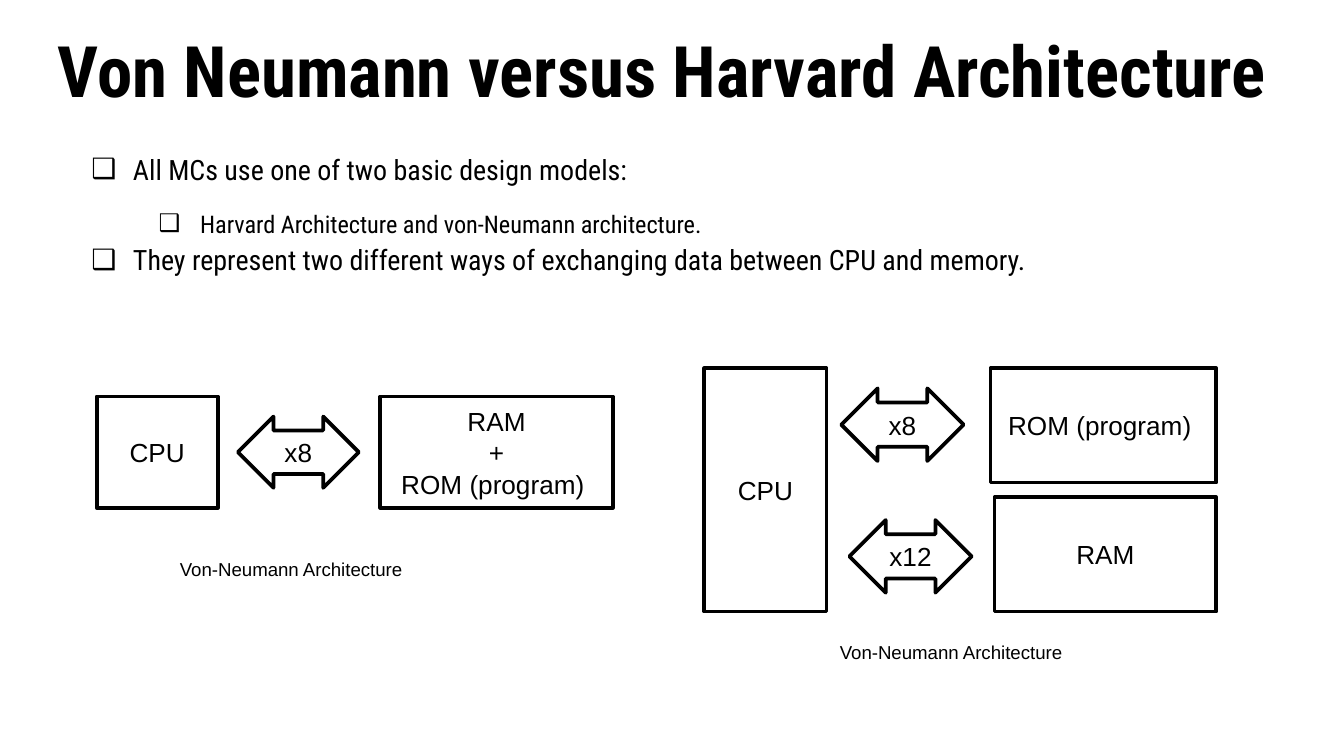
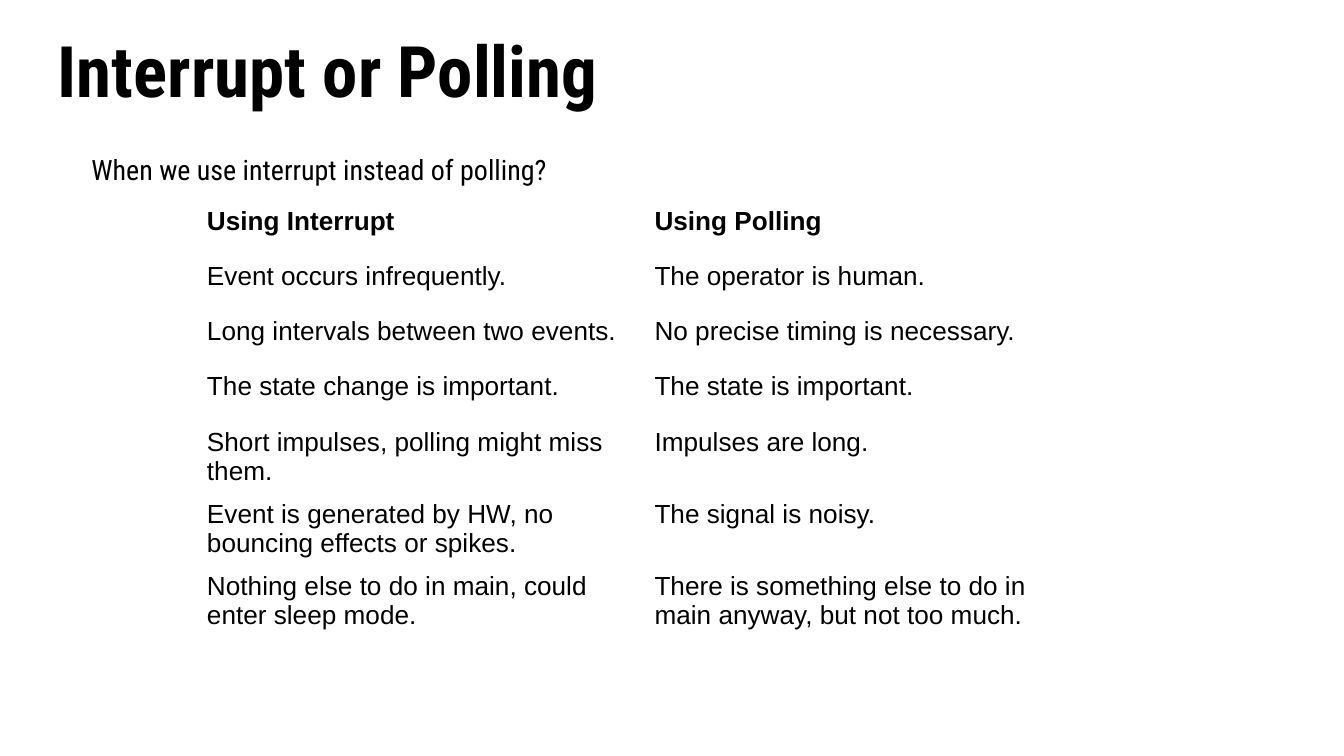
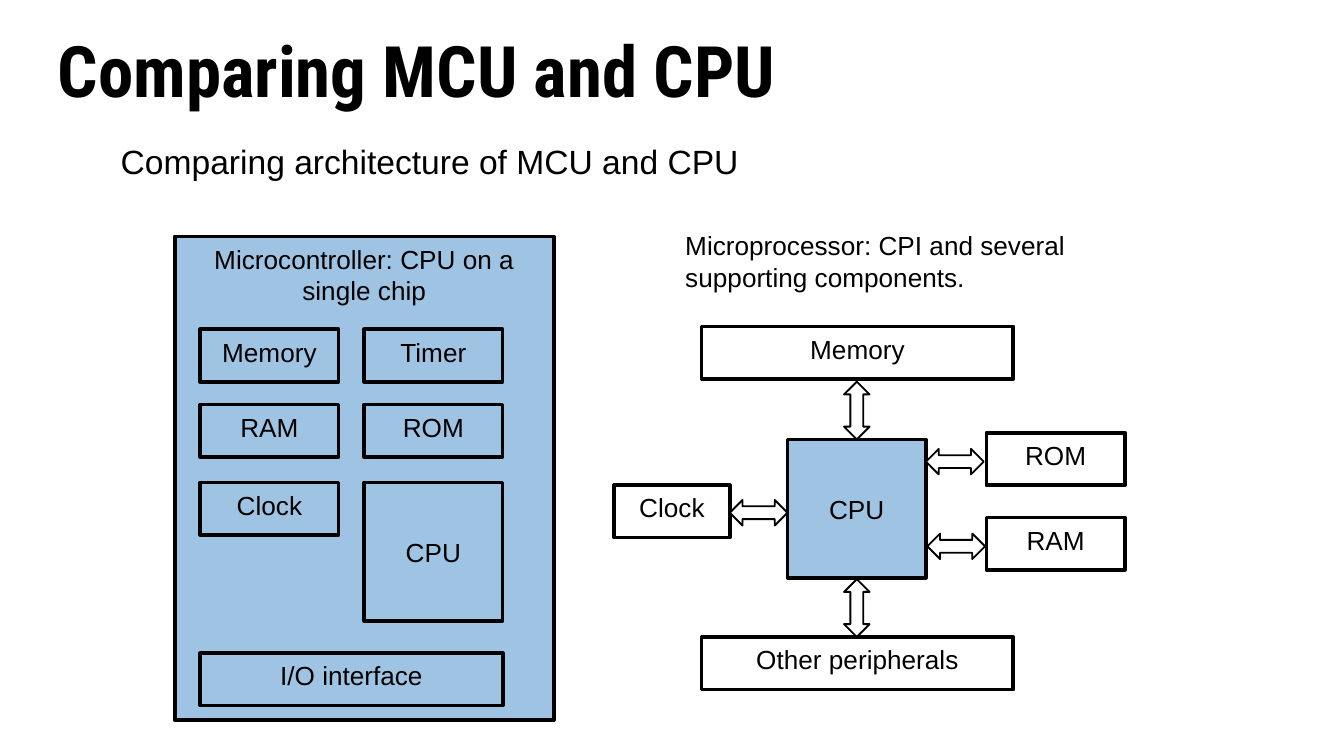
import pptx
import pptx.dml.color
import pptx.enum.shapes
import pptx.enum.text
import pptx.util
from lxml import etree
from pptx.oxml.ns import qn

PX = 9144  # one px is a hundredth of an inch
SLIDE_WIDTH = 1000
COLORS = {"ink": "000000", "paper": "FFFFFF", "chip": "9FC3E3"}
DISPLAY, PLAIN = "Roboto Condensed", "Arial"
RECTANGLE = pptx.enum.shapes.MSO_SHAPE.RECTANGLE
ARROW = pptx.enum.shapes.MSO_SHAPE.LEFT_RIGHT_ARROW
TOP, MIDDLE = pptx.enum.text.MSO_ANCHOR.TOP, pptx.enum.text.MSO_ANCHOR.MIDDLE
CENTER = pptx.enum.text.PP_ALIGN.CENTER

# Shared formats
TITLE_BOX = (36, 21, 928, 69)
TITLE_FONT = {"name": DISPLAY, "size": 38, "bold": True}
PLACEHOLDER_INSETS = {"margin_left": 7, "margin_right": 7, "margin_top": 4, "margin_bottom": 4}
LEVELS = [
    {"size": 15, "left": 56, "spacing": 1.14, "before": 0},
    {"size": 13, "left": 106, "spacing": 1.15, "before": 10},
]
BULLET, BULLET_HANG = "❑", 31

# Slide 1: text, then (label, box, fill) for each diagram
MODELS_TITLE = "Von Neumann versus Harvard Architecture"
MODELS_BODY = [
    (0, "All MCs use one of two basic design models:"),
    (1, "Harvard Architecture and von-Neumann architecture."),
    (0, "They represent two different ways of exchanging data between CPU and memory."),
]
MEMORY_BLOCKS = [
    ("CPU", (72, 295, 90, 83), "paper"),
    ("RAM\n+\nROM (program) ", (283, 295, 173, 83), "paper"),
    ("CPU", (524, 274, 91, 181), None),
    ("ROM (program) ", (737, 274, 168, 85), None),
    ("RAM", (740, 370, 165, 85), None),
]
BUSES = [
    ("x8", (177, 310, 90, 53), "paper"),
    ("x8", (626, 289, 91, 54), None),
    ("x12", (632, 387, 91, 54), None),
]
CAPTIONS = [
    ("Von-Neumann Architecture", (124, 410, 186, 26)),
    ("Von-Neumann Architecture", (615, 472, 188, 27)),
]

# Slide 2
POLLING_TITLE = "Interrupt or Polling"
POLLING_QUESTION = "When we use interrupt instead of polling?"
POLLING_ROWS = [
    ("Using Interrupt", "Using Polling"),
    ("Event occurs infrequently.", "The operator is human."),
    ("Long intervals between two events.", "No precise timing is necessary."),
    ("The state change is important.", "The state is important."),
    ("Short impulses, polling might miss them.", "Impulses are long."),
    ("Event is generated by HW, no bouncing effects or spikes.", "The signal is noisy."),
    ("Nothing else to do in main, could enter sleep mode.",
     "There is something else to do in main anyway, but not too much."),
]
TABLE_LEFT, TABLE_TOP, COLUMN_WIDTH, ROW_HEIGHT = 144, 149, 333, 41
CELL_BOTTOM = 2

# Slide 3
CHIP_TITLE = "Comparing MCU and CPU"
CHIP_SUBTITLE = ("Comparing architecture of MCU and CPU", (80, 100, 484, 40))
CHIP = ("Microcontroller: CPU on a single chip", (130, 176, 282, 360))
CHIP_COLUMNS, CHIP_ROWS = (149, 271), (245, 301, 359)
CHIP_PARTS = [("Memory", "Timer"), ("RAM", "ROM"), ("Clock", "CPU")]
PART_WIDTH, PART_HEIGHT, CPU_SIDE = 103, 39, 103
CHIP_INTERFACE = ("I/O interface", (149, 486, 225, PART_HEIGHT))
PROCESSOR_NOTE = ("Microprocessor: CPI and several supporting components.", (500, 166, 335, 57))
PROCESSOR_CPU = (586, 327)
PROCESSOR_PARTS = [  # label, left, top, width
    ("Memory", 522, 243, 232),
    ("RAM", 734, 385, PART_WIDTH),
    ("ROM", 734, 322, PART_WIDTH),
    ("Clock", 457, 361, 86),
    ("Other peripherals", 522, 474, 232),
]
LINK_WIDTH, LINK_HEIGHT = 43, 19
LINKS = [  # left, top, rotation
    (543, 372, 0), (689, 334, 0), (690, 397, 0), (616, 296, 90), (616, 443, 90),
]


def px(*lengths):
    return [length * PX for length in lengths]


def apply_format(target, values):
    for name, value in values.items():
        setattr(target, name, value)


def rgb(color):
    return pptx.dml.color.RGBColor.from_string(COLORS[color])


def style_font(font, name=PLAIN, size=14, bold=False):
    apply_format(font, {"name": name, "size": pptx.util.Pt(size), "bold": bold})
    font.color.rgb = rgb("ink")


def write(frame, text, font, paragraph_format=None):
    for index, line in enumerate(text.split("\n")):
        paragraph = frame.paragraphs[0] if index == 0 else frame.add_paragraph()
        apply_format(paragraph, paragraph_format or {})
        run = paragraph.add_run()
        run.text = line
        style_font(run.font, **font)


def add_text(slide, box, insets=None, anchor=TOP):
    frame = slide.shapes.add_textbox(*px(*box)).text_frame
    apply_format(frame, {"word_wrap": True, "vertical_anchor": anchor})
    apply_format(frame, {name: value * PX for name, value in (insets or {}).items()})
    return frame


def add_label(slide, text, box, size):
    frame = add_text(slide, box)
    frame.auto_size = pptx.enum.text.MSO_AUTO_SIZE.SHAPE_TO_FIT_TEXT
    write(frame, text, {"size": size})


def add_block(slide, text, box, fill=None, anchor=TOP, kind=RECTANGLE, line=2, adjust=(), turn=0):
    shape = slide.shapes.add_shape(kind, *px(*box))
    shape.shadow.inherit = False
    shape.rotation = turn
    for index, value in enumerate(adjust):
        shape.adjustments[index] = value
    if fill:
        shape.fill.solid()
        shape.fill.fore_color.rgb = rgb(fill)
    else:
        shape.fill.background()
    shape.line.color.rgb = rgb("ink")
    shape.line.width = pptx.util.Pt(line)
    if text:
        apply_format(shape.text_frame, {"word_wrap": True, "vertical_anchor": anchor})
        write(shape.text_frame, text, {}, {"alignment": CENTER})


def indent(paragraph, left, hang, bullet=None):
    properties = paragraph._p.get_or_add_pPr()
    properties.set("marL", str(left * PX))
    properties.set("indent", str(-hang * PX))
    if bullet:
        color = etree.SubElement(properties, qn("a:buClr"))
        etree.SubElement(color, qn("a:srgbClr"), val=COLORS["ink"])
        etree.SubElement(properties, qn("a:buFont"), typeface=DISPLAY)
        etree.SubElement(properties, qn("a:buChar"), char=bullet)


def add_titled_slide(presentation, title):
    slide = presentation.slides.add_slide(presentation.slide_layouts[6])
    frame = add_text(slide, TITLE_BOX, PLACEHOLDER_INSETS, MIDDLE)
    write(frame, title, TITLE_FONT, {"line_spacing": 0.9})
    return slide


def build_models(presentation):
    slide = add_titled_slide(presentation, MODELS_TITLE)
    frame = add_text(slide, (36, 106, 830, 138), PLACEHOLDER_INSETS)
    write(frame, "\n".join(text for _, text in MODELS_BODY), {"name": DISPLAY})
    for paragraph, (depth, _) in zip(frame.paragraphs, MODELS_BODY):
        level = LEVELS[depth]
        apply_format(paragraph, {
            "level": depth,
            "line_spacing": level["spacing"],
            "space_before": pptx.util.Pt(level["before"]),
        })
        paragraph.runs[0].font.size = pptx.util.Pt(level["size"])
        indent(paragraph, level["left"], BULLET_HANG, BULLET)
    for text, box, fill in MEMORY_BLOCKS:
        add_block(slide, text, box, fill, MIDDLE)
    for text, box, fill in BUSES:
        add_block(slide, text, box, fill, MIDDLE, ARROW, adjust=(0.611, 0.5))
    for text, box in CAPTIONS:
        add_label(slide, text, box, 10)


def build_polling(presentation):
    slide = add_titled_slide(presentation, POLLING_TITLE)
    frame = add_text(slide, (36, 106, 928, 426), PLACEHOLDER_INSETS)
    write(frame, POLLING_QUESTION, {"name": DISPLAY, "size": 15}, {"line_spacing": 1.14})
    indent(frame.paragraphs[0], 50, 25)

    row_count, column_count = len(POLLING_ROWS), len(POLLING_ROWS[0])
    size = (column_count * COLUMN_WIDTH, row_count * ROW_HEIGHT)
    table = slide.shapes.add_table(
        row_count, column_count, *px(TABLE_LEFT, TABLE_TOP, *size)).table
    apply_format(table, {"first_row": False, "horz_banding": False})
    for row_index, texts in enumerate(POLLING_ROWS):
        for column_index, text in enumerate(texts):
            cell = table.cell(row_index, column_index)
            cell.fill.background()
            cell.margin_bottom = CELL_BOTTOM * PX
            write(cell.text_frame, text, {"bold": row_index == 0})


def build_chip(presentation):
    slide = add_titled_slide(presentation, CHIP_TITLE)
    # Microcontroller: every part on one chip
    add_block(slide, *CHIP, "chip")
    for top, labels in zip(CHIP_ROWS, CHIP_PARTS):
        for left, text in zip(CHIP_COLUMNS, labels):
            is_cpu = text == "CPU"
            height = CPU_SIDE if is_cpu else PART_HEIGHT
            add_block(slide, text, (left, top, PART_WIDTH, height),
                      anchor=MIDDLE if is_cpu else TOP)
    add_block(slide, *CHIP_INTERFACE)
    # Microprocessor: parts linked around the CPU
    add_label(slide, *PROCESSOR_NOTE, 14)
    for text, left, top, width in PROCESSOR_PARTS:
        add_block(slide, text, (left, top, width, PART_HEIGHT))
    add_block(slide, "CPU", (*PROCESSOR_CPU, CPU_SIDE, CPU_SIDE), "chip", MIDDLE)
    for left, top, turn in LINKS:
        add_block(slide, "", (left, top, LINK_WIDTH, LINK_HEIGHT), "paper",
                  kind=ARROW, line=1, adjust=(0.5, 0.5), turn=turn)
    add_label(slide, *CHIP_SUBTITLE, 18)


def main():
    presentation = pptx.Presentation()
    presentation.slide_width = SLIDE_WIDTH * PX
    presentation.slide_height = presentation.slide_width * 9 // 16
    for build in (build_models, build_polling, build_chip):
        build(presentation)
    presentation.save("out.pptx")


if __name__ == "__main__":
    main()
